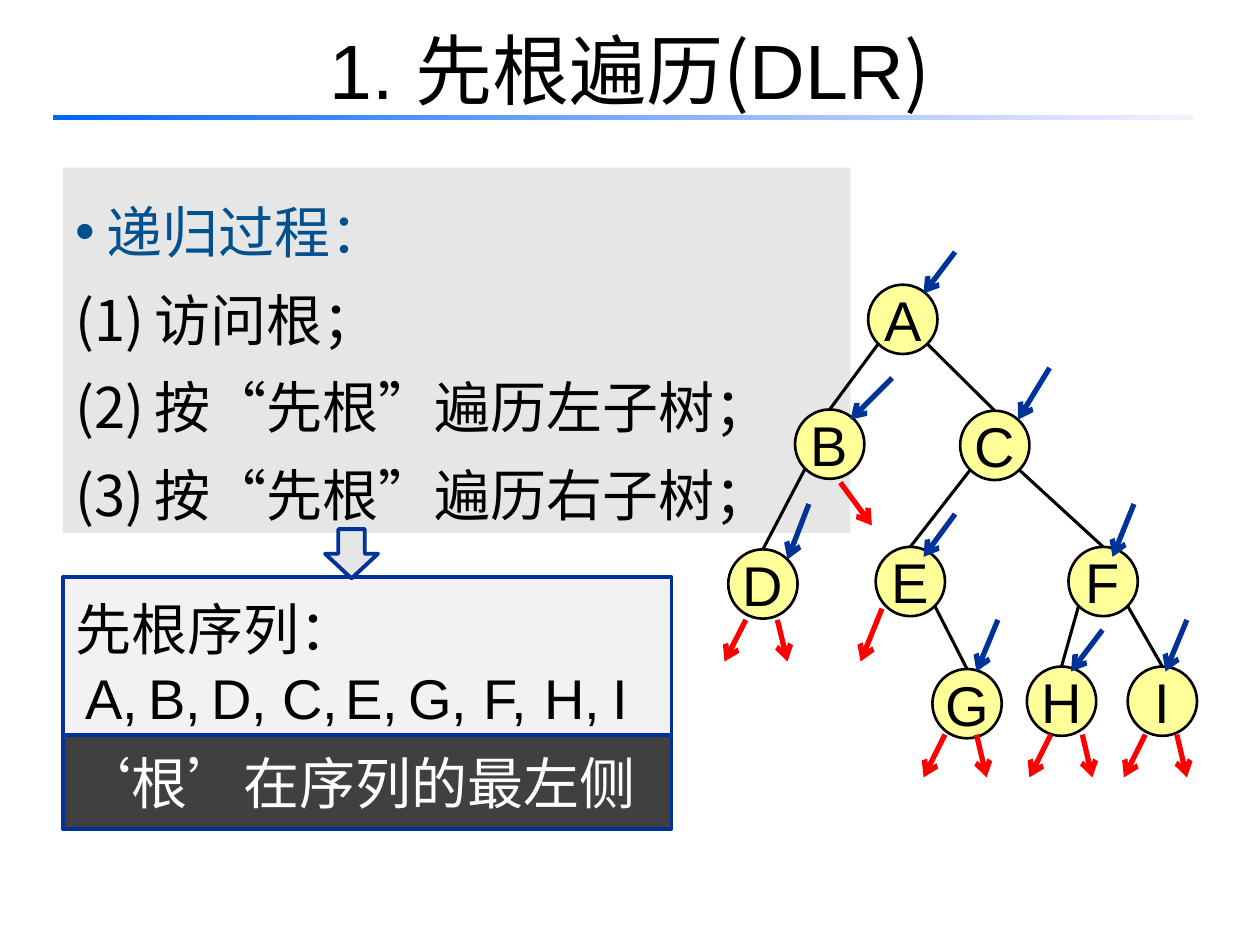
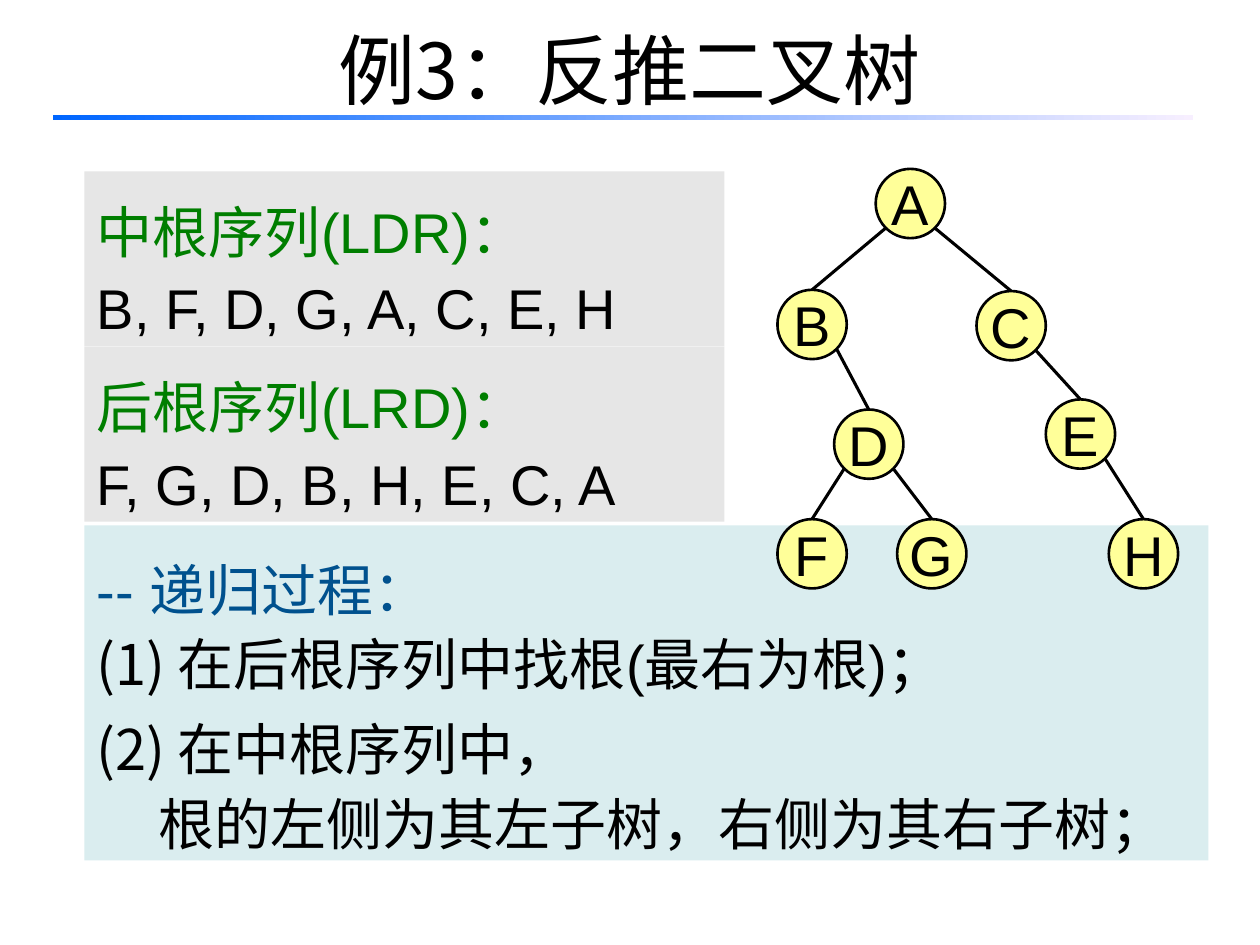
from dataclasses import dataclass
from typing import NamedTuple, Optional

import lxml.etree
import pptx
import pptx.dml.color
import pptx.enum.lang
import pptx.enum.shapes
import pptx.enum.text
import pptx.oxml.ns
import pptx.util

Inches = pptx.util.Inches
Pt = pptx.util.Pt
RGBColor = pptx.dml.color.RGBColor
MSO_SHAPE = pptx.enum.shapes.MSO_SHAPE
PP_ALIGN = pptx.enum.text.PP_ALIGN
MSO_ANCHOR = pptx.enum.text.MSO_ANCHOR
qn = pptx.oxml.ns.qn

BLACK = RGBColor(0x00, 0x00, 0x00)
WHITE = RGBColor(0xFF, 0xFF, 0xFF)
GRAY = RGBColor(0xE6, 0xE6, 0xE6)
LIGHT_GRAY = RGBColor(0xF2, 0xF2, 0xF2)
DARK_GRAY = RGBColor(0x40, 0x40, 0x40)
TEAL = RGBColor(0xDA, 0xED, 0xEF)
YELLOW = RGBColor(0xFF, 0xFF, 0x99)
NAVY = RGBColor(0x00, 0x33, 0x99)
RED = RGBColor(0xFF, 0x00, 0x00)
HEADING_BLUE = RGBColor(0x00, 0x51, 0x8E)
HEADING_GREEN = RGBColor(0x00, 0x7E, 0x00)
BAND_START = RGBColor(0x00, 0x66, 0xFF)
BAND_END = RGBColor(0xF7, 0xEF, 0xFF)

LATIN = "Arial"
CJK = "Noto Sans CJK SC"
BODY_SIZE = 32
TITLE_SIZE = 44
NODE_SIZE = 0.55
EDGE_OFFSET = 0.195  # from a node's centre to its lower diagonal point


class Box(NamedTuple):
    left: float
    top: float
    width: float
    height: float


class Point(NamedTuple):
    x: float
    y: float


class Arrow(NamedTuple):
    start: Point
    end: Point


@dataclass
class Line:
    text: str
    spacing: float
    color: RGBColor = BLACK
    bullet: Optional[str] = None
    margin: float = 0
    hanging: float = 0
    before: float = 0
    font: str = LATIN


@dataclass
class Node:
    name: str
    left: float
    top: float
    children: str = ""  # children to the left of the node come out on its left

    @property
    def center(self) -> Point:
        return Point(self.left + NODE_SIZE / 2, self.top + NODE_SIZE / 2)


def format_run(r, color: RGBColor, font: str = LATIN, size: float = BODY_SIZE) -> None:
    r.font.size = Pt(size)
    r.font.name = font
    r.font.color.rgb = color
    r.font.language_id = pptx.enum.lang.MSO_LANGUAGE_ID.SIMPLIFIED_CHINESE
    ea = lxml.etree.SubElement(r.font._rPr, qn("a:ea"))
    ea.set("typeface", CJK)


def add_bullet(p, bullet: str) -> None:
    """Give a paragraph a bullet sign, or a running number for "(1)"."""
    pPr = p._p.get_or_add_pPr()
    numbered = bullet == "(1)"
    font = lxml.etree.SubElement(pPr, qn("a:buFont"))
    font.set("typeface", CJK if numbered else LATIN)
    if numbered:
        lxml.etree.SubElement(pPr, qn("a:buAutoNum")).set("type", "arabicParenBoth")
    else:
        lxml.etree.SubElement(pPr, qn("a:buChar")).set("char", bullet)


def write_lines(tf, lines: list[Line]) -> None:
    for i, line in enumerate(lines):
        p = tf.paragraphs[0] if i == 0 else tf.add_paragraph()
        p.text = line.text
        pPr = p._p.get_or_add_pPr()
        pPr.set("marL", str(Inches(line.margin)))
        pPr.set("indent", str(-Inches(line.hanging)))
        if line.bullet:
            add_bullet(p, line.bullet)
        p.alignment = PP_ALIGN.LEFT
        if line.spacing:
            p.line_spacing = Pt(line.spacing)
        if line.before:
            p.space_before = Pt(line.before)
        format_run(p.runs[0], line.color, line.font)


def add_shape(s, kind, box: Box, fill: RGBColor,
              line: Optional[RGBColor] = None, width: float = 2.25):
    sp = s.shapes.add_shape(kind, *map(Inches, box))
    sp.shadow.inherit = False
    sp.fill.solid()
    sp.fill.fore_color.rgb = fill
    if line is None:
        sp.line.fill.background()
    else:
        sp.line.color.rgb = line
        sp.line.width = Pt(width)
    return sp


def add_panel(s, box: Box, fill: RGBColor, lines: list[Line],
              line: Optional[RGBColor] = None, top_inset: float = 0.05):
    sp = add_shape(s, MSO_SHAPE.RECTANGLE, box, fill, line)
    tf = sp.text_frame
    tf.word_wrap = True
    tf.vertical_anchor = MSO_ANCHOR.TOP
    tf.margin_top = Inches(top_inset)
    write_lines(tf, lines)
    return sp


def add_line(s, start: Point, end: Point, color: RGBColor, width: float,
             arrow: bool = False) -> None:
    cx = s.shapes.add_connector(pptx.enum.shapes.MSO_CONNECTOR.STRAIGHT,
                                *map(Inches, (*start, *end)))
    cx.line.color.rgb = color
    cx.line.width = Pt(width)
    if arrow:
        tail = lxml.etree.SubElement(cx.line._get_or_add_ln(), qn("a:tailEnd"))
        tail.set("type", "arrow")
    lxml.etree.SubElement(cx._element.spPr, qn("a:effectLst"))


def add_tree(s, nodes: list[Node]) -> None:
    by_name = {node.name: node for node in nodes}
    for node in nodes:
        for child in map(by_name.get, node.children):
            side = -1 if child.left < node.left else 1
            start = Point(node.center.x + side * EDGE_OFFSET, node.center.y + EDGE_OFFSET)
            add_line(s, start, Point(child.center.x, child.top), BLACK, 1.75)
    for node in nodes:
        sp = add_shape(s, MSO_SHAPE.OVAL, Box(node.left, node.top, NODE_SIZE, NODE_SIZE),
                       YELLOW, BLACK, 1.5)
        tf = sp.text_frame
        tf.word_wrap = False
        tf.vertical_anchor = MSO_ANCHOR.MIDDLE
        p = tf.paragraphs[0]
        p.text = node.name
        p.alignment = PP_ALIGN.CENTER
        format_run(p.runs[0], BLACK)


def add_titled_slide(prs, title: list[tuple[str, str]]):
    """Add a slide with a title, given as (text, font) runs, and the band under it."""
    s = prs.slides.add_slide(prs.slide_layouts[5])
    sp = s.shapes.title
    sp.left, sp.top, sp.width, sp.height = map(Inches, Box(0.5, -0.08, 9, 1.25))
    tf = sp.text_frame
    tf.auto_size = pptx.enum.text.MSO_AUTO_SIZE.NONE
    tf.vertical_anchor = MSO_ANCHOR.MIDDLE
    p = tf.paragraphs[0]
    p.alignment = PP_ALIGN.CENTER
    for text, font in title:
        r = p.add_run()
        r.text = text
        format_run(r, BLACK, font, TITLE_SIZE)
    band = add_shape(s, MSO_SHAPE.RECTANGLE, Box(0.42, 0.91, 9.05, 0.04), BAND_START)
    band.fill.gradient()
    band.fill.gradient_angle = 0
    for stop, color in zip(band.fill.gradient_stops, (BAND_START, BAND_END)):
        stop.color.rgb = color
    return s


PREORDER_TREE = [
    Node("A", 6.89, 2.26, "BC"), Node("B", 6.31, 3.25, "D"), Node("C", 7.62, 3.26, "EF"),
    Node("D", 5.78, 4.36), Node("E", 6.95, 4.34, "G"), Node("F", 8.48, 4.34, "HI"),
    Node("G", 7.4, 5.31), Node("H", 8.15, 5.29), Node("I", 8.95, 5.29),
]
REBUILT_TREE = [
    Node("A", 6.95, 1.34, "BC"), Node("B", 6.17, 2.3, "D"), Node("C", 7.75, 2.31, "E"),
    Node("D", 6.62, 3.25, "FG"), Node("E", 8.3, 3.17, "H"),
    Node("F", 6.17, 4.12), Node("G", 7.12, 4.12), Node("H", 8.8, 4.12),
]
VISITS = [
    Arrow(Point(7.58, 2), Point(7.33, 2.33)), Arrow(Point(7.08, 3), Point(6.75, 3.33)),
    Arrow(Point(6.42, 4), Point(6.25, 4.44)), Arrow(Point(8.33, 2.92), Point(8.08, 3.33)),
    Arrow(Point(7.58, 4.08), Point(7.33, 4.42)), Arrow(Point(7.92, 4.92), Point(7.75, 5.33)),
    Arrow(Point(9, 4), Point(8.83, 4.42)), Arrow(Point(8.75, 5), Point(8.5, 5.33)),
    Arrow(Point(9.42, 4.92), Point(9.25, 5.33)),
]
EMPTY_SUBTREES = [
    Arrow(Point(5.92, 4.92), Point(5.75, 5.25)), Arrow(Point(6.17, 4.92), Point(6.25, 5.25)),
    Arrow(Point(6.67, 3.83), Point(6.92, 4.17)), Arrow(Point(7, 4.83), Point(6.83, 5.25)),
]
for leaf_left in (7.33, 8.17, 8.92):
    EMPTY_SUBTREES += [
        Arrow(Point(leaf_left + 0.17, 5.83), Point(leaf_left, 6.17)),
        Arrow(Point(leaf_left + 0.42, 5.83), Point(leaf_left + 0.5, 6.17)),
    ]
VISIT_ORDER = {"A,": 0.58, "B,": 1.08, "D,": 1.58, "C,": 2.14, "E,": 2.64,
               "G,": 3.14, "F,": 3.74, "H,": 4.22, "I": 4.76}


def build_preorder_slide(prs) -> None:
    s = add_titled_slide(prs, [("1. ", LATIN), ("先根遍历(", CJK), ("DLR", LATIN), (")", CJK)])
    steps = ["访问根；", "按“先根”遍历左子树；", "按“先根”遍历右子树；"]
    add_panel(s, Box(0.5, 1.33, 6.25, 2.9), GRAY, [
        Line("递归过程：", 50, HEADING_BLUE, "•", 0.25, 0.25),
        *(Line(step, 50, bullet="(1)", margin=0.63, hanging=0.63) for step in steps),
    ], top_inset=0.08)
    add_tree(s, PREORDER_TREE)
    add_panel(s, Box(0.5, 4.58, 4.83, 1.29), LIGHT_GRAY, [Line("先根序列：", 45)], NAVY)
    add_shape(s, MSO_SHAPE.DOWN_ARROW, Box(2.58, 4.2, 0.42, 0.39), GRAY, NAVY)
    for arrows, color in ((VISITS, NAVY), (EMPTY_SUBTREES, RED)):
        for arrow in arrows:
            add_line(s, arrow.start, arrow.end, color, 3, arrow=True)
    for text, left in VISIT_ORDER.items():
        sp = s.shapes.add_textbox(*map(Inches, Box(left, 5.08, 0.78, 0.71)))
        sp.text_frame.word_wrap = True
        write_lines(sp.text_frame, [Line(text, 48.5)])
    sp = add_panel(s, Box(0.5, 5.83, 4.83, 0.75), DARK_GRAY,
                   [Line("‘根’在序列的最左侧", 0, WHITE, font=CJK)], NAVY)
    sp.text_frame.word_wrap = False
    sp.text_frame.vertical_anchor = MSO_ANCHOR.MIDDLE


def build_rebuild_slide(prs) -> None:
    s = add_titled_slide(prs, [("例3：反推二叉树", CJK)])
    add_panel(s, Box(0.67, 4.17, 8.92, 2.66), TEAL, [
        Line("-- 递归过程：", 52, HEADING_BLUE),
        Line("在后根序列中找根(最右为根)；", 42.5, bullet="(1)", margin=0.64, hanging=0.64),
        Line("在中根序列中，", 42.5, bullet="(1)", margin=0.64, hanging=0.64, before=6),
        Line("根的左侧为其左子树，右侧为其右子树；", 43, margin=0.49),
    ])
    add_tree(s, REBUILT_TREE)
    sequences = [("中根序列(LDR)：", "B, F, D, G, A, C, E, H"),
                 ("后根序列(LRD)：", "F, G, D, B, H, E, C, A")]
    for i, (heading, sequence) in enumerate(sequences):
        add_panel(s, Box(0.67, 1.36 + 1.39 * i, 5.08, 1.39), GRAY,
                  [Line(heading, 50, HEADING_GREEN), Line(sequence, 43.5)])


def main() -> None:
    prs = pptx.Presentation()
    prs.slide_width, prs.slide_height = Inches(10), Inches(7.5)
    build_preorder_slide(prs)
    build_rebuild_slide(prs)
    prs.save("out.pptx")


if __name__ == "__main__":
    main()
